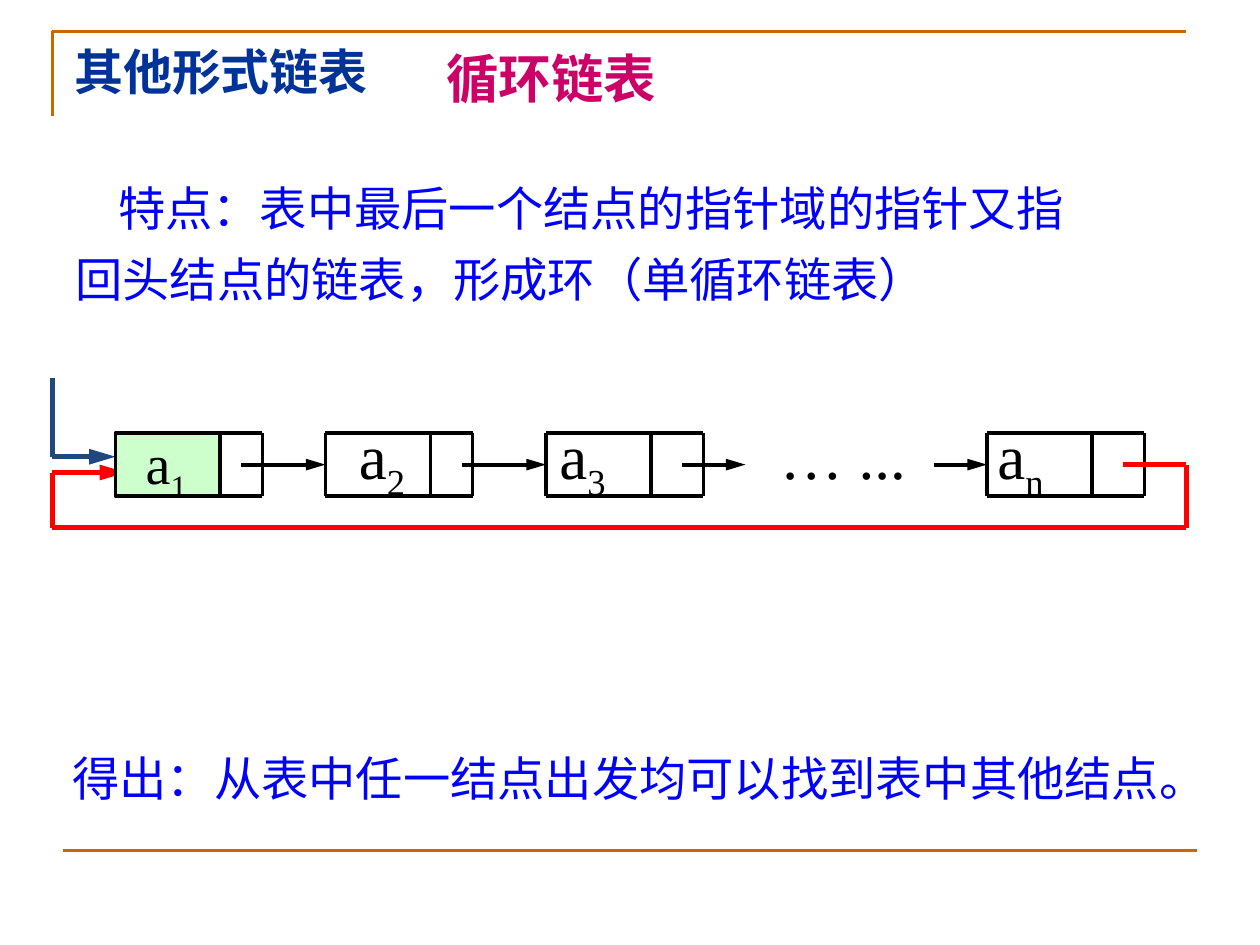
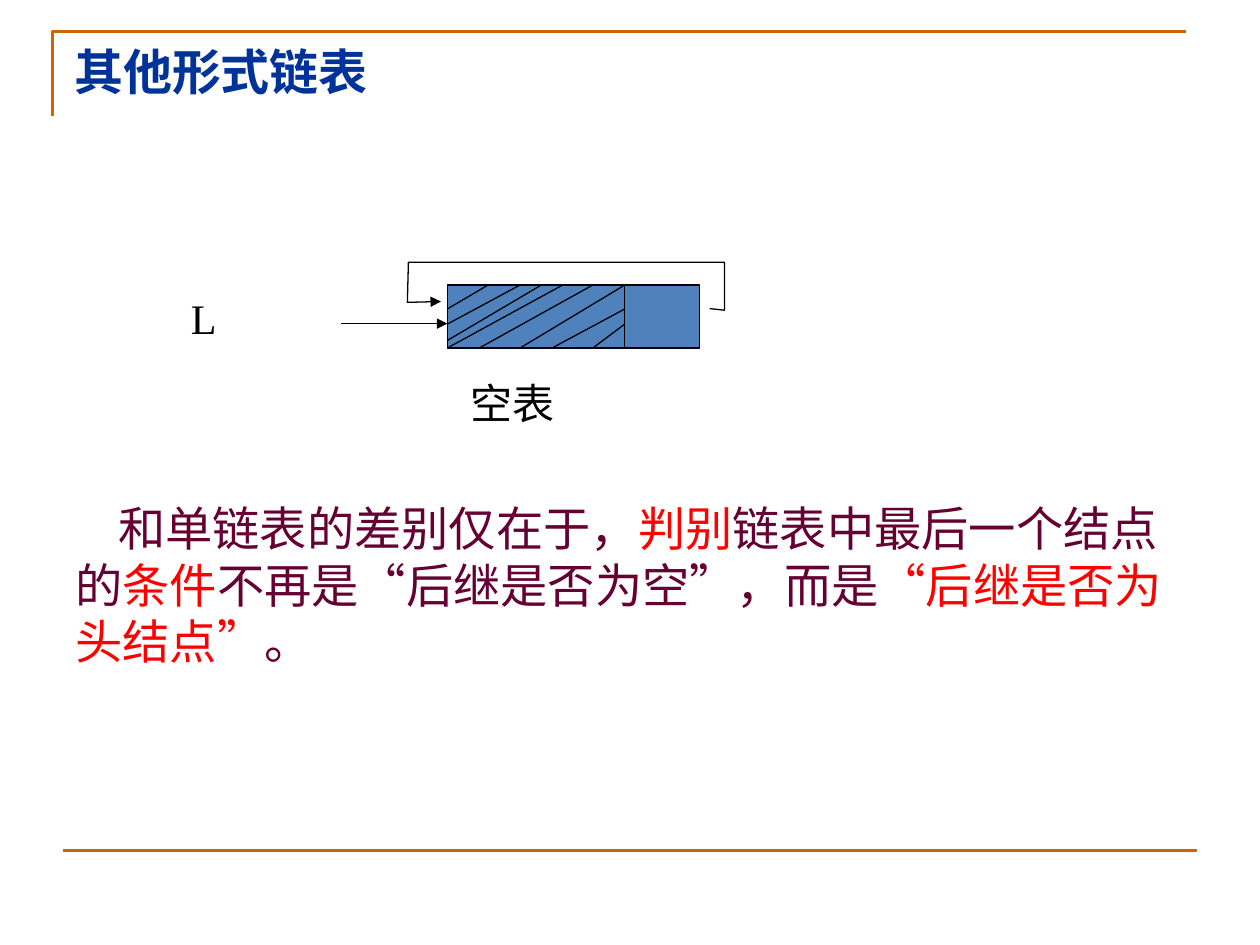
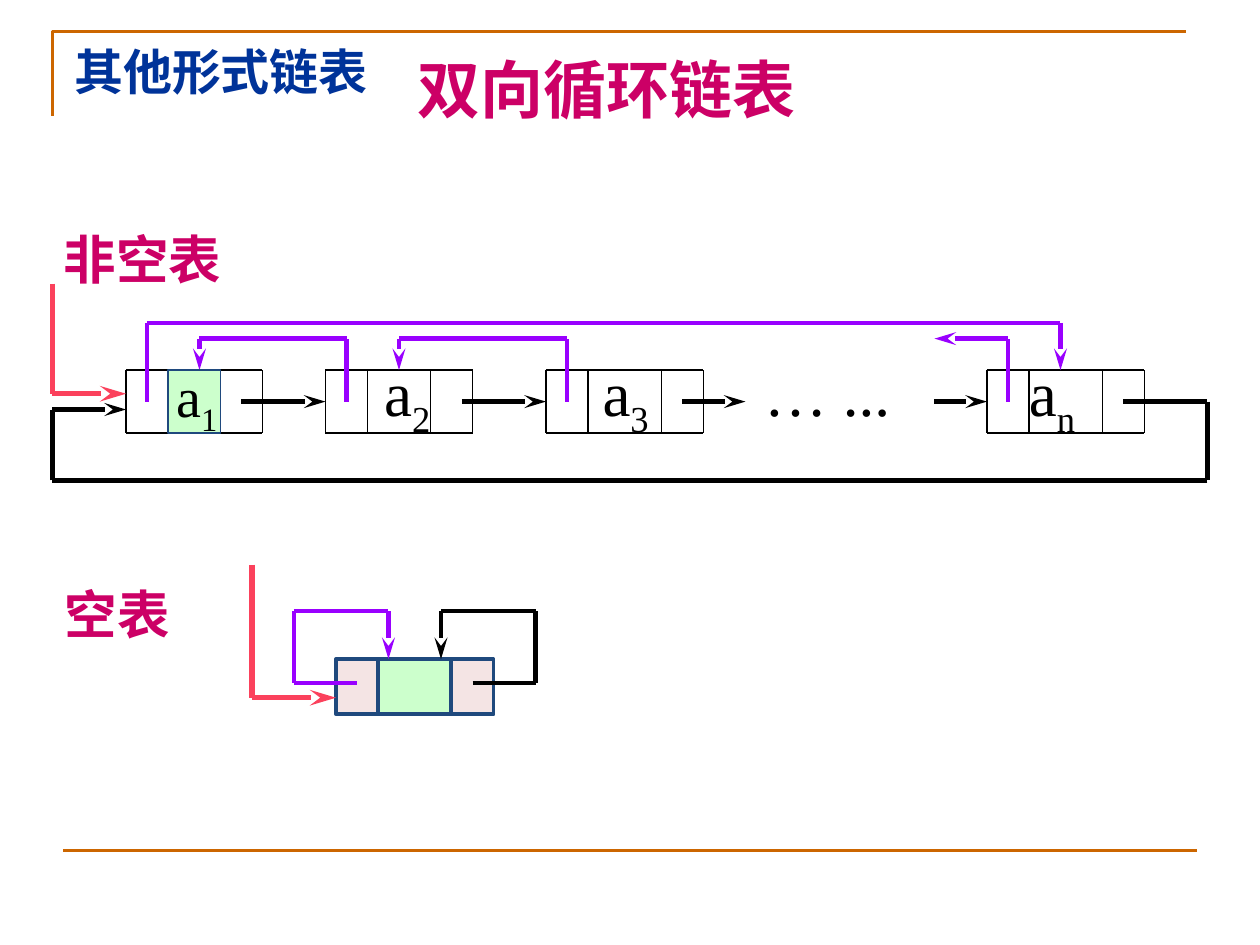
import pptx
import pptx.util
import pptx.dml.color
import pptx.enum.shapes
import pptx.enum.text
import pptx.oxml.ns
import lxml.etree

# Content. Places are (column, row) on a grid of 120 x 120 cells over the slide.
WIDTH, HEIGHT, CELLS = 10, 7.5, 120
COLORS = {
    "frame": "CC6600", "title": "003399", "heading": "CC0066", "body": "0000FF",
    "note": "660033", "key": "FF0000", "ink": "000000", "head": "1F497D",
    "data": "CCFFCC", "link": "F4E4E4", "block": "4F81BD", "back": "9900FF",
    "entry": "FB415C",
}
SERIF, SANS = "Times New Roman", "Noto Sans CJK SC"
TITLE = "其他形式链表"
FRAME_CORNER = [(5, 14.7), (5, 4), (113, 4)]
FRAME_FOOT = [(6, 108), (114, 108)]

SINGLE = {
    "rows": (55, 63),
    "nodes": [(11, 21, 25), (31, 41, 45), (52, 62, 67), (94, 104, 109)],
    "links": [(23, 31), (44, 52), (65, 71), (89, 94)],
    "labels": (33, 52.1, 73.1, 93.8),
    "head": [(5, 48), (5, 58), (11, 58)],
    "ring": [(107, 59), (113, 59), (113, 67), (5, 67), (5, 60), (12, 60)],
}
DOUBLE = {
    "rows": (47, 55),
    "nodes": [(12, 16, 21, 25), (31, 35, 41, 45), (52, 56, 63, 67), (94, 98, 105, 109)],
    "links": SINGLE["links"],
    "labels": (35.4, 56.2, 71.6, 96.8),
    "head": [(5, 36), (5, 50), (12, 50)],
    "ring": [(107, 51), (115, 51), (115, 61), (5, 61), (5, 52), (12, 52)],
    "back": [
        [(96, 51), (96, 43), (89, 43)],
        [(54, 51), (54, 43), (38, 43), (38, 47)],
        [(33, 51), (33, 43), (19, 43), (19, 47)],
        [(14, 51), (14, 41), (101, 41), (101, 47)],
    ],
}
EMPTY_DOUBLE = {
    "cells": [(36, 43, "data"), (43, 47, "link"), (32, 36, "link")],
    "rows": (83.7, 90.7),
    "routes": [
        ([(45, 86.7), (51, 86.7), (51, 77.6), (42, 77.6), (42, 83.7)], "ink", 2.5),
        ([(34, 86.7), (28, 86.7), (28, 77.6), (37, 77.6), (37, 83.7)], "back", 2.5),
        ([(24, 71.7), (24, 88.6), (32, 88.6)], "entry", 3),
    ],
}
EMPTY_SINGLE = {
    "columns": (42.6, 59.5, 66.6), "rows": (36.2, 44.2),
    "pointer": [(32.5, 41.1), (42.6, 41.1)],
    "loop": [(67.6, 39.2), (69, 39.4), (69, 33.3), (48.2, 33.3), (38.9, 33.3),
             (38.8, 38.4), (39, 38.4), (42, 38.3)],
    "dot": [(60, 79.5), (60, 79.5)],
    # Hatching, as shares of the data cell.
    "hatch": [((.23, 0), (0, .38)), ((.41, 0), (0, .62)), ((.53, 0), (0, .88)),
              ((.65, 0), (0, 1)), ((.82, 0), (.18, 1)), ((1, 0), (.41, 1)),
              ((1, .38), (.59, 1)), ((1, .62), (.82, 1))],
}
FEATURE = "特点：表中最后一个结点的指针域的指针又指回头结点的链表，形成环（单循环链表）"
RESULT = "得出：从表中任一结点出发均可以找到表中其他结点。"
DIFFERENCE = [
    ("和单链表的差别仅在于，", "note"), ("判别", "key"),
    ("链表中最后一个结点的", "note"), ("条件", "key"),
    ("不再是“后继是否为空”，而是", "note"), ("“后继是否为头结点”", "key"), ("。", "note"),
]
FIRST_LABEL = [("a", {}), ("1", {"sub": True})]
NODE_LABELS = [
    [("a", {}), ("2", {"sub": True})],
    [("a", {}), ("3", {"sub": True})],
    "… ...",
    [("a", {}), ("n", {"sub": True})],
]


def across(column):
    """Turn a column into a length."""
    return pptx.util.Inches(column * WIDTH / CELLS)


def down(row):
    """Turn a row into a length."""
    return pptx.util.Inches(row * HEIGHT / CELLS)


def color(name):
    """Look up a colour by its role."""
    return pptx.dml.color.RGBColor.from_string(COLORS[name])


def child(parent, tag, **attributes):
    """Append a drawing element to its parent."""
    return lxml.etree.SubElement(parent, pptx.oxml.ns.qn(tag), attributes)


def stroke(shape, ink, weight, arrow=None):
    """Set a line's colour, width and end arrow, long on heavy lines."""
    shape.line.color.rgb = color(ink)
    shape.line.width = pptx.util.Pt(weight)
    if arrow:
        outline_part = shape.element.spPr.find(pptx.oxml.ns.qn("a:ln"))
        child(outline_part, "a:tailEnd", type=arrow, len="lg" if weight > 1 else "med")


def route(page, points, ink="ink", weight=0.75, arrow=None):
    """Join points with straight lines, the arrow being on the last."""
    lines = []
    for number, (start, end) in enumerate(zip(points, points[1:]), 2):
        line = page.shapes.add_connector(
            pptx.enum.shapes.MSO_CONNECTOR.STRAIGHT,
            across(start[0]), down(start[1]), across(end[0]), down(end[1]))
        stroke(line, ink, weight, arrow if number == len(points) else None)
        child(line.element.spPr, "a:effectLst")
        lines.append(line)
    return lines


def outline(page, points, ink, weight, arrow=None):
    """Draw an open, unfilled outline through points."""
    places = [(across(column), down(row)) for column, row in points]
    builder = page.shapes.build_freeform(*places[0])
    builder.add_line_segments(places[1:], close=False)
    shape = builder.convert_to_shape()
    shape.fill.background()
    stroke(shape, ink, weight, arrow)
    shape.shadow.inherit = False
    return shape


def cell(page, columns, rows, fill, ink="ink", weight=0.75):
    """Draw a filled rectangle between two columns and two rows."""
    (left, right), (top, bottom) = columns, rows
    shape = page.shapes.add_shape(
        pptx.enum.shapes.MSO_SHAPE.RECTANGLE,
        across(left), down(top), across(right - left), down(bottom - top))
    shape.fill.solid()
    shape.fill.fore_color.rgb = color(fill)
    stroke(shape, ink, weight)
    shape.shadow.inherit = False


def node(page, columns, rows, weight):
    """Draw a list node: two long sides and an upright at each column."""
    for row in rows:
        route(page, [(columns[0], row), (columns[-1], row)], weight=weight)
    for column in columns:
        route(page, [(column, row) for row in rows], weight=weight)


def write(page, at, text, size, ink="ink", font=SERIF, bold=False, wrap=True,
          spacing=None, before=None, margin=0, indent=0, insets=None, tracking=None):
    """Add a text box; text is a string or a list of (string, overrides)."""
    left, top, width, height = at
    box = page.shapes.add_textbox(across(left), down(top), across(width), down(height))
    frame = box.text_frame
    frame.word_wrap = wrap
    frame.auto_size = pptx.enum.text.MSO_AUTO_SIZE.SHAPE_TO_FIT_TEXT
    if insets:
        (frame.margin_left, frame.margin_top, frame.margin_right,
         frame.margin_bottom) = map(pptx.util.Inches, insets)
    para = frame.paragraphs[0]
    if spacing:
        para.line_spacing = spacing
    if before:
        para.space_before = pptx.util.Pt(before)
    layout = para._p.get_or_add_pPr()
    layout.set("marL", str(pptx.util.Inches(margin)))
    layout.set("indent", str(pptx.util.Inches(indent)))
    for words, change in [(text, {})] if isinstance(text, str) else text:
        span = para.add_run()
        span.text = words
        span.font.size = pptx.util.Pt(size)
        span.font.bold = bold
        span.font.name = font
        span.font.color.rgb = color(change.get("ink", ink))
        child(span.font._element, "a:ea", typeface=SANS)
        if change.get("sub"):
            span.font._element.set("baseline", "-25000")
        if tracking:
            span.font._element.set("spc", str(tracking))


def heading(page, at, text, size=30):
    """Write a bold heading on one line."""
    write(page, at, text, size, ink="heading", bold=True, wrap=False)


def title(page):
    """Write the title that every slide has."""
    write(page, (7, 5.1, 71, 7.7), TITLE, 28, ink="title", font=SANS, bold=True,
          before=0.9, margin=0.01, insets=(0, 0.01, 0, 0), tracking=-10)


def share_frame(page, layout):
    """Draw the frame and hand it to the layout that all slides use."""
    parts = [outline(page, FRAME_CORNER, "frame", 1.5)]
    parts += route(page, FRAME_FOOT, "frame", 1.5)
    for part in parts:
        layout.shapes.element.append(part.element)


def chain(page, plan, node_weight, link_weight, arrow):
    """Draw the labels and nodes of a list and the arrows to the next ones."""
    top = plan["rows"][0] - 2.9
    for left, label in zip(plan["labels"], NODE_LABELS):
        write(page, (left, top, 16, 11.2), label, 36)
    for columns in plan["nodes"]:
        node(page, columns, plan["rows"], node_weight)
    middle = sum(plan["rows"]) / 2
    for start, end in plan["links"]:
        route(page, [(start, middle), (end, middle)], weight=link_weight, arrow=arrow)


def circular_list(page):
    """Slide 1: the circular list."""
    heading(page, (41.3, 5.1, 22.7, 9.8), "循环链表")
    write(page, (6, 20.2, 99, 18.9), FEATURE, 27, ink="body", spacing=1.25, indent=0.34)
    chain(page, SINGLE, 2.25, 2.25, "triangle")
    route(page, SINGLE["head"], "head", 3, "triangle")
    route(page, SINGLE["ring"], "key", 3, "triangle")
    cell(page, SINGLE["nodes"][0][:2], SINGLE["rows"], "data", weight=2.25)
    write(page, (2.6, 92.5, 111.5, 9.8), RESULT, 27, ink="body", spacing=1.25, indent=0.26)
    title(page)
    write(page, (12.7, 53.6, 11.4, 10.2), FIRST_LABEL, 32)


def empty_list(page):
    """Slide 2: the empty circular list."""
    left, split, right = EMPTY_SINGLE["columns"]
    top, bottom = EMPTY_SINGLE["rows"]
    cell(page, (left, right), (top, bottom), "block")
    route(page, [(split, top), (split, bottom)])
    route(page, EMPTY_SINGLE["pointer"], arrow="triangle")
    for ends in EMPTY_SINGLE["hatch"]:
        route(page, [(left + x * (split - left), top + y * (bottom - top)) for x, y in ends])
    route(page, EMPTY_SINGLE["dot"])
    write(page, (43.6, 47.2, 23, 8), "空表", 24)
    outline(page, EMPTY_SINGLE["loop"], "ink", 0.75, "triangle")
    write(page, (6, 62.6, 107.2, 23.4), [(words, {"ink": ink}) for words, ink in DIFFERENCE],
          27, indent=0.34)
    write(page, (17, 36.3, 14, 8), "L", 24)
    title(page)


def double_list(page):
    """Slide 3: the doubly linked circular list, filled and empty."""
    heading(page, (4.9, 28, 17.6, 9.8), "非空表")
    chain(page, DOUBLE, 0.75, 2.5, "stealth")
    route(page, DOUBLE["head"], "entry", 3, "stealth")
    route(page, DOUBLE["ring"], "ink", 2.5, "stealth")
    for points in DOUBLE["back"]:
        route(page, points, "back", 2.5, "stealth")
    cell(page, DOUBLE["nodes"][0][1:3], DOUBLE["rows"], "data", "head")
    heading(page, (5, 73.1, 12.6, 9.8), "空表")
    for start, end, fill in EMPTY_DOUBLE["cells"]:
        cell(page, (start, end), EMPTY_DOUBLE["rows"], fill, "head", 2.25)
    for points, ink, weight in EMPTY_DOUBLE["routes"]:
        route(page, points, ink, weight, "stealth")
    heading(page, (38.6, 5.6, 38.9, 11.4), "双向循环链表", 36)
    title(page)
    write(page, (15.6, 45.1, 7, 10.2), FIRST_LABEL, 32)


deck = pptx.Presentation()
deck.slide_width = pptx.util.Inches(WIDTH)
deck.slide_height = pptx.util.Inches(HEIGHT)
blank = deck.slide_layouts[6]
pages = [deck.slides.add_slide(blank) for _ in range(3)]
share_frame(pages[0], blank)
for draw, page in zip((circular_list, empty_list, double_list), pages):
    draw(page)
deck.save("out.pptx")
